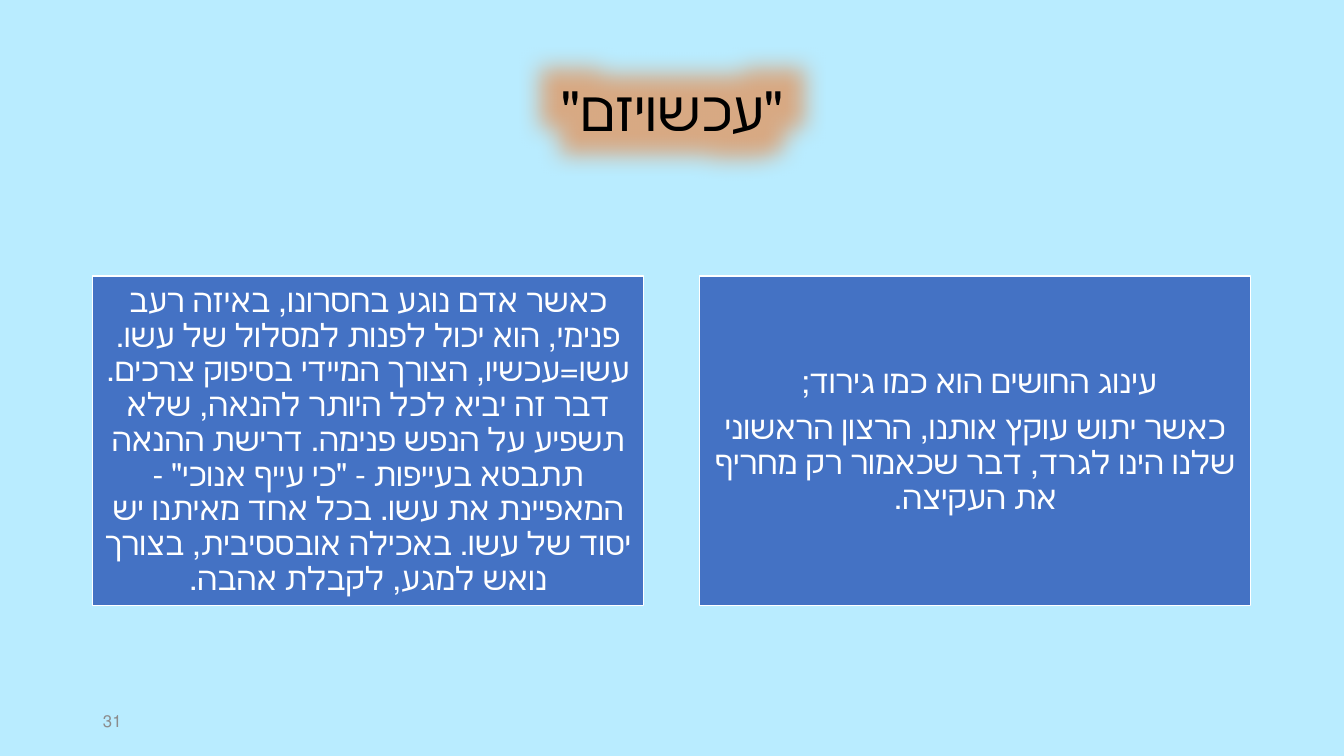
"""Build the slide with a glowing title above two Hebrew text panels."""
from dataclasses import dataclass

from lxml import etree
from pptx import Presentation
from pptx.dml.color import RGBColor
from pptx.enum.shapes import MSO_SHAPE
from pptx.enum.text import MSO_ANCHOR, PP_ALIGN
from pptx.oxml.ns import qn
from pptx.util import Pt

RECT = MSO_SHAPE.RECTANGLE
MIDDLE = MSO_ANCHOR.MIDDLE
CENTER = PP_ALIGN.CENTER
LEFT = PP_ALIGN.LEFT
SCALE = 914400 / 100.8


@dataclass(frozen=True)
class Theme:
    font: str = "Calibri"
    back: str = "B9ECFF"
    panel: str = "4472C4"
    white: str = "FFFFFF"
    black: str = "000000"
    gray: str = "8C8C8C"
    glow: str = "ED7D31"
    title: int = 40
    body: int = 23
    small: int = 12


def px(count):
    return round(count * SCALE)


def rgb(code):
    return RGBColor.from_string(code)


def write(frame, *lines, font, size, color, align=CENTER, space=None, after=None):
    frame.word_wrap = True
    frame.vertical_anchor = MIDDLE
    frame.margin_left = frame.margin_right = px(10)
    for index, line in enumerate(lines):
        para = frame.paragraphs[0] if index == 0 else frame.add_paragraph()
        para.alignment = align
        para.line_spacing = space
        para.space_after = after
        para._p.get_or_add_pPr().set("rtl", "1")
        run = para.add_run()
        run.text = line
        run.font.size = Pt(size)
        run.font.color.rgb = rgb(color)
        run.font.name = font


class Page:
    def __init__(self, deck, theme):
        self.theme = theme
        self.slide = deck.slides.add_slide(deck.slide_layouts[6])
        fill = self.slide.background.fill
        fill.solid()
        fill.fore_color.rgb = rgb(theme.back)

    def label(self, box, text, **style):
        frame = self.slide.shapes.add_textbox(*map(px, box)).text_frame
        write(frame, text, font=self.theme.font, **style)
        return frame

    def title(self, box, text):
        theme = self.theme
        frame = self.label(box, text, size=theme.title, color=theme.black, space=0.9)
        props = frame.paragraphs[0].runs[0]._r.get_or_add_rPr()
        effect = etree.Element(qn("a:effectLst"))
        glow = etree.SubElement(effect, qn("a:glow"), rad=str(Pt(80)))
        color = etree.SubElement(glow, qn("a:srgbClr"), val=theme.glow)
        etree.SubElement(color, qn("a:alpha"), val="60000")
        props.find(qn("a:solidFill")).addnext(effect)

    def panel(self, box, *lines):
        theme = self.theme
        shape = self.slide.shapes.add_shape(RECT, *map(px, box))
        shape.shadow.inherit = False
        shape.fill.solid()
        shape.fill.fore_color.rgb = rgb(theme.panel)
        shape.line.color.rgb = rgb(theme.white)
        shape.line.width = Pt(0.75)
        frame = shape.text_frame
        frame.margin_top = frame.margin_bottom = px(10)
        write(frame, *lines, font=theme.font, size=theme.body,
              color=theme.white, space=0.9, after=Pt(8))


PANELS = [
    ["עינוג החושים הוא כמו גירוד; ",
     "כאשר יתוש עוקץ אותנו, הרצון הראשוני שלנו הינו לגרד, "
     "דבר שכאמור רק מחריף את העקיצה."],
    ["כאשר אדם נוגע בחסרונו, באיזה רעב פנימי, הוא יכול לפנות למסלול של עשו. "
     "עשו=עכשיו, הצורך המיידי בסיפוק צרכים. דבר זה יביא לכל היותר להנאה, "
     "שלא תשפיע על הנפש פנימה. דרישת ההנאה תתבטא בעייפות - \"כי עייף אנוכי\" - "
     "המאפיינת את עשו. בכל אחד מאיתנו יש יסוד של עשו. באכילה אובססיבית, "
     "בצורך נואש למגע, לקבלת אהבה."],
]


def main():
    deck = Presentation()
    deck.slide_width, deck.slide_height = px(1344), px(756)
    theme = Theme()
    page = Page(deck, theme)
    page.title((93, 40, 1159, 146), "\"עכשויזם\"")
    for index, lines in enumerate(PANELS):
        page.panel((700 - 607 * index, 276, 551, 330), *lines)
    page.label((93, 701, 302, 40), "31", size=theme.small, color=theme.gray, align=LEFT)
    deck.save("out.pptx")


if __name__ == "__main__":
    main()
